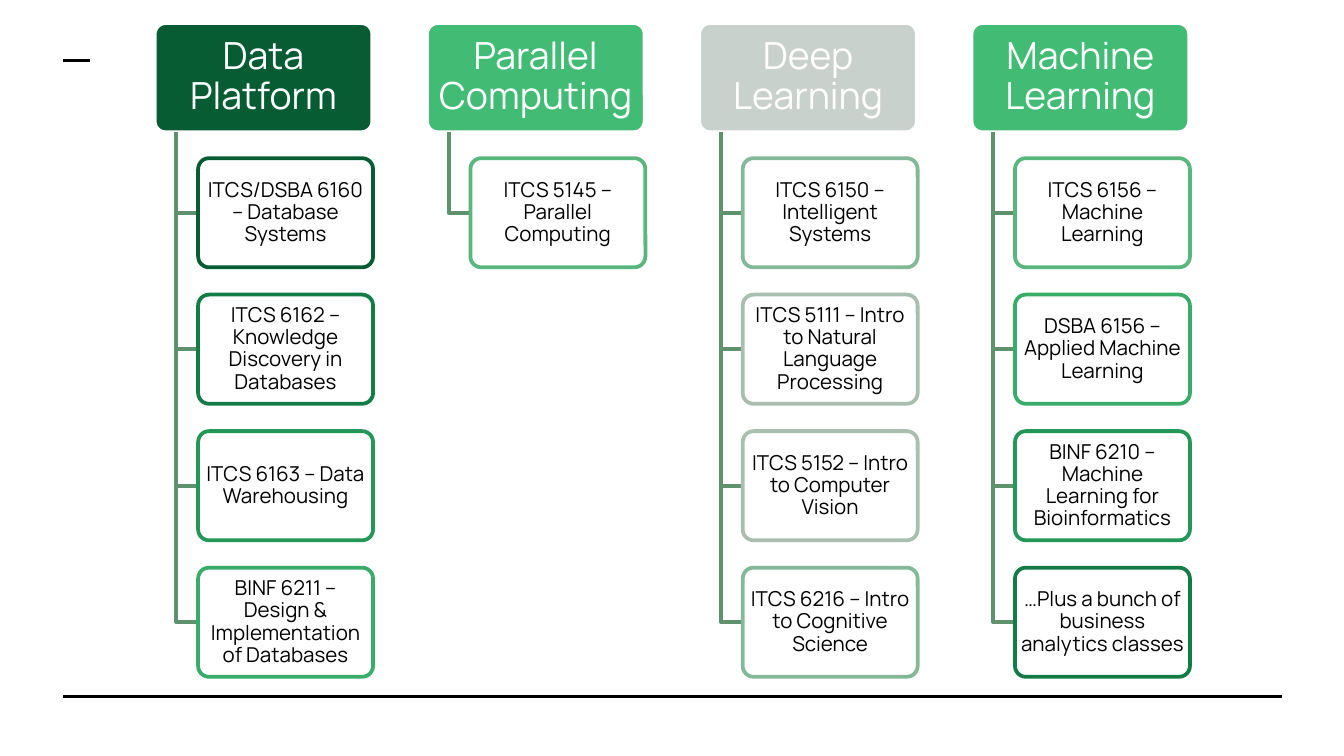
from dataclasses import dataclass

from lxml import etree
from pptx import Presentation
from pptx import util as u
from pptx.dml.color import RGBColor
from pptx.enum import shapes, text
from pptx.oxml.ns import qn

PX = 914400 / 192

SLIDE_W, SLIDE_H = 1920, 1080
TRACK_X, TRACK_PITCH = 221, 389
HEADER_Y, HEADER_W, BOX_H = 33, 311, 156
COURSE_Y, COURSE_PITCH, COURSE_W = 226, 195, 250
TRUNK_INDENT, COURSE_INDENT = 31, 62


@dataclass(frozen=True)
class Theme:
    font: str = "Manrope"
    header_size: int = 20
    course_size: int = 11
    white: str = "FFFFFF"
    black: str = "000000"
    branch: str = "5E916E"
    forest: str = "075C33"
    pine: str = "127C46"
    emerald: str = "229757"
    jade: str = "38AD69"
    green: str = "42BC74"
    mint: str = "59B77E"
    sage: str = "83B996"
    mist: str = "A8BFAF"
    silver: str = "C8D1CB"
    box_line: float = 2
    rule_line: float = 1.5


THEME = Theme()

TRACKS = [
    ("Data Platform", THEME.forest, [
        ("ITCS/DSBA 6160 – Database Systems", THEME.forest),
        ("ITCS 6162 – Knowledge Discovery in Databases", THEME.pine),
        ("ITCS 6163 – Data Warehousing", THEME.emerald),
        ("BINF 6211 – Design & Implementation of Databases", THEME.jade),
    ]),
    ("Parallel Computing", THEME.green, [
        ("ITCS 5145 – Parallel Computing", THEME.mint),
    ]),
    ("Deep Learning", THEME.silver, [
        ("ITCS 6150 – Intelligent Systems", THEME.sage),
        ("ITCS 5111 – Intro to Natural Language Processing", THEME.mist),
        ("ITCS 5152 – Intro to Computer Vision", THEME.mist),
        ("ITCS 6216 – Intro to Cognitive Science", THEME.sage),
    ]),
    ("Machine Learning", THEME.green, [
        ("ITCS 6156 – Machine Learning", THEME.mint),
        ("DSBA 6156 – Applied Machine Learning", THEME.jade),
        ("BINF 6210 – Machine Learning for Bioinformatics", THEME.emerald),
        ("…Plus a bunch of business analytics classes", THEME.pine),
    ]),
]


def px(length):
    return u.Emu(round(length * PX))


def rgb(value):
    return RGBColor.from_string(value)


def set_line(line, color, width):
    line.color.rgb = rgb(color)
    line.width = u.Pt(width)


def add_rule(slide, x1, x2, y):
    rule = slide.shapes.add_connector(
        shapes.MSO_CONNECTOR.STRAIGHT, px(x1), px(y), px(x2), px(y))
    set_line(rule.line, THEME.black, THEME.rule_line)
    etree.SubElement(rule._element.spPr, qn("a:effectLst"))


def add_box(slide, x, y, width, label, fill, outline, size, color, inset):
    box = slide.shapes.add_shape(
        shapes.MSO_SHAPE.ROUNDED_RECTANGLE, px(x), px(y), px(width), px(BOX_H))
    box.adjustments[0] = 0.1
    box.shadow.inherit = False
    box.fill.solid()
    box.fill.fore_color.rgb = rgb(fill)
    set_line(box.line, outline, THEME.box_line)

    frame = box.text_frame
    frame.word_wrap = True
    frame.vertical_anchor = text.MSO_ANCHOR.MIDDLE
    frame.margin_left = frame.margin_right = px(inset)
    frame.margin_top = frame.margin_bottom = px(4)
    paragraph = frame.paragraphs[0]
    paragraph.alignment = text.PP_ALIGN.CENTER
    paragraph.line_spacing = 0.9
    run = paragraph.add_run()
    run.text = label
    run.font.name = THEME.font
    run.font.size = u.Pt(size)
    run.font.color.rgb = rgb(color)


def add_branch(slide, trunk_x, top, course_x, middle):
    outline = slide.shapes.build_freeform(trunk_x, top, scale=PX)
    outline.add_line_segments([(trunk_x, middle), (course_x, middle)], close=False)
    branch = outline.convert_to_shape()
    branch.shadow.inherit = False
    branch.fill.background()
    set_line(branch.line, THEME.branch, THEME.box_line)


def add_track(slide, x, title, fill, courses):
    add_box(slide, x, HEADER_Y, HEADER_W, title, fill, THEME.white,
            THEME.header_size, THEME.white, inset=8)
    course_x = x + COURSE_INDENT
    for row, (course, outline) in enumerate(courses):
        y = COURSE_Y + row * COURSE_PITCH
        add_branch(slide, x + TRUNK_INDENT, HEADER_Y + BOX_H, course_x, y + BOX_H // 2)
        add_box(slide, course_x, y, COURSE_W, course, THEME.white, outline,
                THEME.course_size, THEME.black, inset=4)


def main():
    deck = Presentation()
    deck.slide_width, deck.slide_height = px(SLIDE_W), px(SLIDE_H)
    slide = deck.slides.add_slide(deck.slide_layouts[6])
    add_rule(slide, 90, 1832, 995)
    add_rule(slide, 90, 129, 86)
    for column, (title, fill, courses) in enumerate(TRACKS):
        add_track(slide, TRACK_X + column * TRACK_PITCH, title, fill, courses)
    deck.save("out.pptx")


if __name__ == "__main__":
    main()
